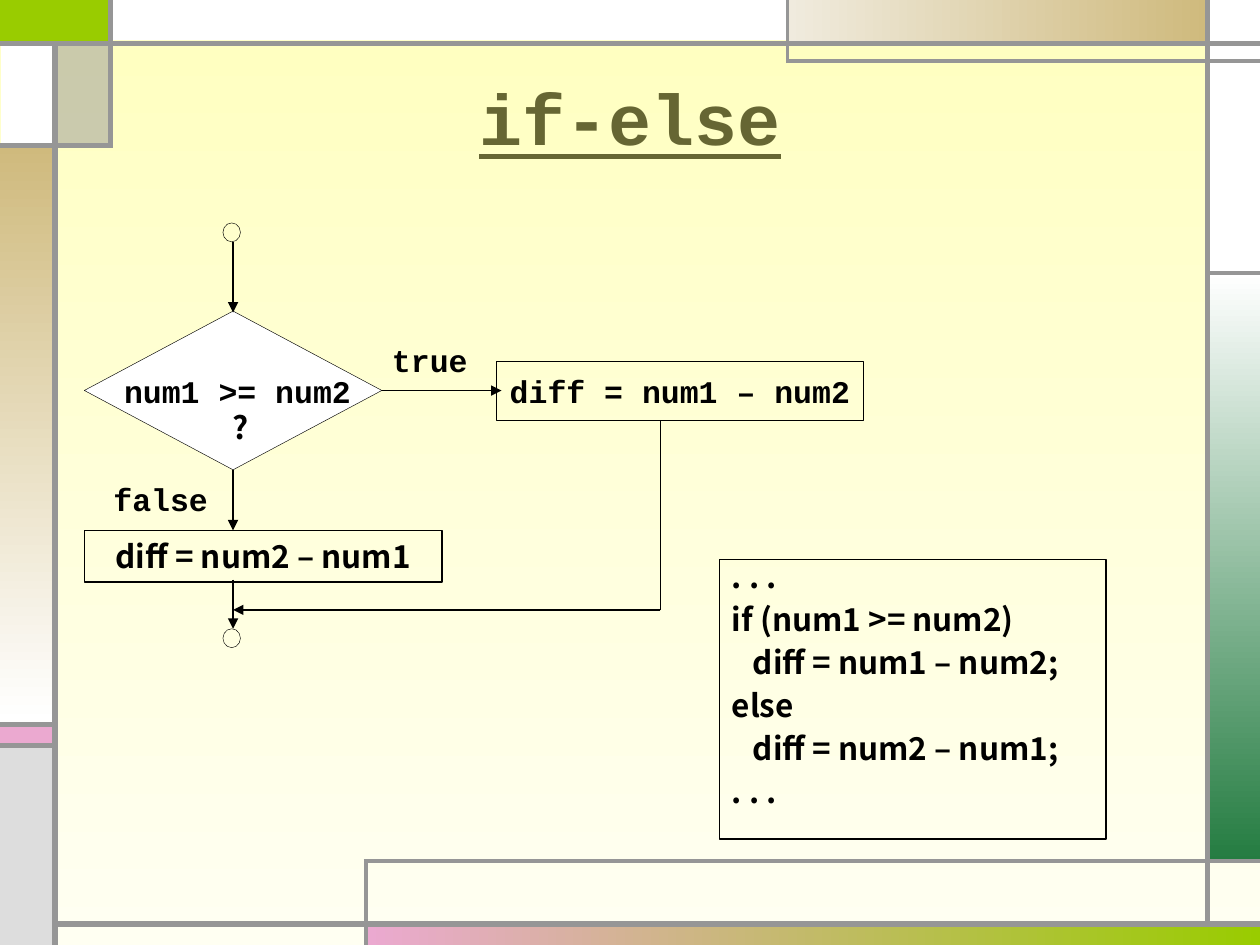
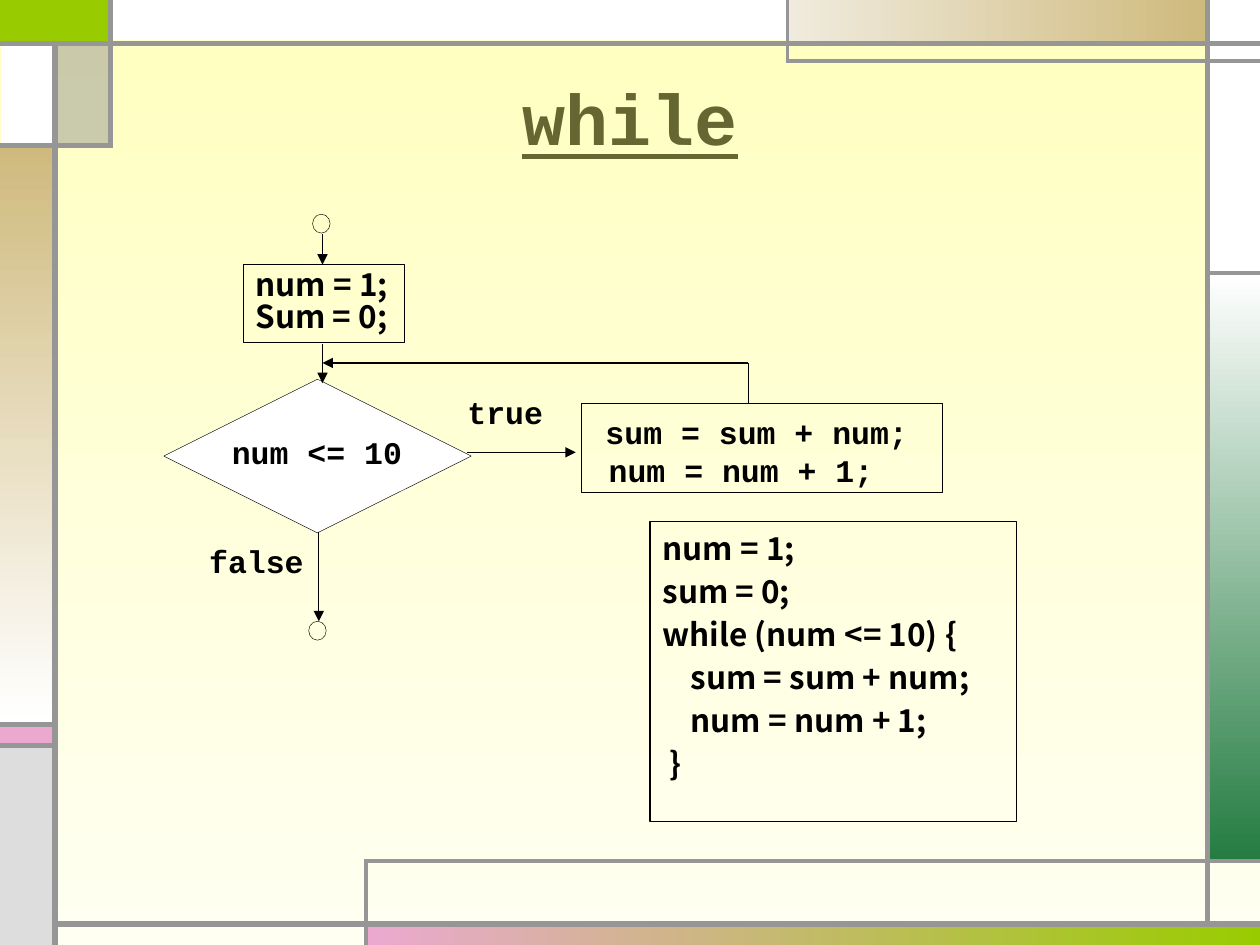
"""Two flowchart slides, if-else and while, in one shared decorative frame."""
from lxml.etree import SubElement
from pptx import Presentation
from pptx.dml.color import RGBColor
from pptx.enum.shapes import MSO_CONNECTOR, MSO_SHAPE
from pptx.enum.text import MSO_ANCHOR, PP_ALIGN
from pptx.oxml.ns import qn
from pptx.util import Pt

WHITE = RGBColor(0xFF, 0xFF, 0xFF)
BLACK = RGBColor(0, 0, 0)
GRAY = RGBColor(0x96, 0x96, 0x96)
SILVER = RGBColor(0xDD, 0xDD, 0xDD)
LIME = RGBColor(0x99, 0xCC, 0x00)
PINK = RGBColor(0xEB, 0xA9, 0xD0)
GREEN = RGBColor(0x24, 0x7C, 0x41)
SAND = RGBColor(0xCF, 0xBA, 0x7D)
PALE_SAND = RGBColor(0xF0, 0xEB, 0xDE)
OLIVE = RGBColor(0x66, 0x66, 0x33)
YELLOW = RGBColor(0xFF, 0xFF, 0xBF)
CREAM = RGBColor(0xFF, 0xFF, 0xF2)

MONO = "Courier New"
SANS = "Noto Sans CJK KR"
LEFT, CENTER = PP_ALIGN.LEFT, PP_ALIGN.CENTER
DOWN, ACROSS = 270, 0
TITLE_AREA = (36, 21.6, 648, 90)
RING = (10, 10.8)
LABEL = (65.5, 27)
HAIRLINE, THIN = 0.25, 0.75

FRAME_BLOCKS = [
    ((0, 0, 62.5, 24.5), LIME),
    ((210, 528, 510, 12), (PINK, LIME, ACROSS)),
    ((690, 156, 30, 336), (WHITE, GREEN, DOWN)),
    ((0, 414, 30, 12), PINK),
    ((0, 427, 30, 113), SILVER),
    ((690, 0, 30, 156), WHITE),
    ((450, 0, 240, 24), (PALE_SAND, SAND, ACROSS)),
    ((33, 24, 30, 59), GRAY),
    ((0, 83, 30, 330), (SAND, WHITE, DOWN)),
    ((0.5, 24, 30, 59), WHITE),
    ((62, 0, 388, 23), WHITE),
]
FRAME_LINES = {
    3: [(31.5, 540, 31.5, 24), (31.5, 528, 720, 528), (690, 528, 690, 0),
        (0, 25, 720, 25), (63, 0, 63, 84.5), (62, 83, 0, 83),
        (33, 414, 0, 414), (33, 426, 0, 426)],
    2.25: [(720, 34.8, 450, 34.8), (450, 36, 450, 0), (690, 156, 720, 156),
           (209, 540, 209, 491), (208, 492, 720, 492)],
}

FLOWCHARTS = [
    {
        "title": "if-else",
        "decision": (48.2, 177.8, 170, 90.7),
        "rings": [(127.4, 127.4), (127.4, 359.3)],
        "outline": (283.7, 206.6, 209.5, 33.8),
        "mono": [
            ((54, 212.4, 163.4, 20), [("num1 >= num2", CENTER, 0)]),
            ((278, 212.4, 221, 23), [("diff = num1 – num2", CENTER, 0)]),
        ],
        "labels": [("true", 224, 195), ("false", 64.8, 274.3)],
        "step": ((48.2, 303.1, 204.5, 29.5), [("diff = num2 – num1", CENTER, 0)]),
        "question": (126, 229.7, 24.5, 28.8),
        "arrows": [
            [(218.2, 223.2), (286.6, 223.2)],
            [(133.2, 138.2), (133.2, 178.6)],
            [(133.2, 268.6), (133.2, 303.1)],
            [(133.2, 331.2), (133.2, 359.3)],
            [(377.3, 240.5), (377.3, 348.5), (133.2, 348.5)],
        ],
        "code_area": (411.1, 319.7, 221, 159.8),
        "code_inset": 3.6,
        "code": [(". . .", 0), ("if (num1 >= num2)", 0), ("diff = num1 – num2;", 3),
                 ("else", 0), ("diff = num2 – num1;", 3), (". . .", 0)],
    },
    {
        "title": "while",
        "decision": (93.6, 216.7, 175.7, 87.8),
        "rings": [(178.6, 122.4), (176.4, 355)],
        "outline": (331.9, 230.4, 206.6, 51.1),
        "mono": [
            ((99.4, 247.7, 163.4, 20), [("num <= 10", CENTER, 0)]),
            ((326.2, 236.2, 212.4, 39.6),
             [("sum = sum + num;", CENTER, 0), ("num = num + 1;", LEFT, 21.6)]),
        ],
        "labels": [("true", 267.1, 224.6), ("false", 119.5, 309.6)],
        "step": ((139, 151.2, 92.2, 44.6),
                 [("num = 1;", LEFT, 0), ("Sum = 0;", LEFT, 0)]),
        "question": None,
        "arrows": [
            [(267.1, 258.5), (329, 258.5)],
            [(182.2, 303.8), (182.2, 355)],
            [(184.3, 196.6), (184.3, 218.9)],
            [(184.3, 133.9), (184.3, 151.2)],
            [(427.7, 230.4), (427.7, 207.4), (184.3, 207.4)],
        ],
        "code_area": (371.5, 298, 209.5, 171.4),
        "code_inset": 9.4,
        "code": [("num = 1;", 0), ("sum = 0;", 0), ("while (num <= 10) {", 0),
                 ("sum = sum + num;", 4), ("num = num + 1;", 4), ("}", 1)],
    },
]
CODE_SPACE = 4.03


def paint(fill, colour):
    if colour is None:
        fill.background()
    elif isinstance(colour, tuple) and not isinstance(colour, RGBColor):
        start, end, angle = colour
        fill.gradient()
        fill.gradient_angle = angle
        for stop, shade in zip(fill.gradient_stops, (start, end)):
            stop.color.rgb = shade
    else:
        fill.solid()
        fill.fore_color.rgb = colour


def add_block(slide, kind, area, fill=None, border=None):
    block = slide.shapes.add_shape(kind, *map(Pt, area))
    block.shadow.inherit = False
    paint(block.fill, fill)
    if border is None:
        block.line.fill.background()
    else:
        block.line.color.rgb = BLACK
        block.line.width = Pt(border)
    return block


def add_line(slide, ends, colour, width, arrow=False):
    line = slide.shapes.add_connector(MSO_CONNECTOR.STRAIGHT, *map(Pt, ends))
    line.line.color.rgb = colour
    line.line.width = Pt(width)
    if arrow:
        SubElement(line.line._get_or_add_ln(), qn("a:tailEnd"), type="triangle")
    SubElement(line._element.spPr, qn("a:effectLst"))


def write(holder, lines, font=MONO, size=18, colour=BLACK, underline=None,
          inset=(0, 0), wrap=True, anchor=MSO_ANCHOR.TOP, pitch=None, before=0):
    frame = holder.text_frame
    frame.word_wrap = wrap
    frame.vertical_anchor = anchor
    frame.margin_left = frame.margin_right = Pt(inset[0])
    frame.margin_top = frame.margin_bottom = Pt(inset[1])
    for index, (words, align, indent) in enumerate(lines):
        paragraph = frame.add_paragraph() if index else frame.paragraphs[0]
        paragraph.alignment = align
        paragraph.space_before = Pt(before)
        if pitch:
            paragraph.line_spacing = pitch
        if indent:
            paragraph._p.get_or_add_pPr().set("marL", str(int(Pt(indent))))
        run = paragraph.add_run()
        run.text = words
        run.font.name = font
        run.font.size = Pt(size)
        run.font.bold = True
        run.font.underline = underline
        run.font.color.rgb = colour


def add_text(slide, area, lines, **style):
    write(slide.shapes.add_textbox(*map(Pt, area)), lines, **style)


def draw_frame(slide, title):
    paint(slide.background.fill, (YELLOW, CREAM, DOWN))
    for area, fill in FRAME_BLOCKS:
        block = add_block(slide, MSO_SHAPE.RECTANGLE, area, fill)
        if fill == GRAY:
            tint = block._element.spPr.find(".//" + qn("a:srgbClr"))
            SubElement(tint, qn("a:alpha"), val="50000")
    for width, lines in FRAME_LINES.items():
        for ends in lines:
            add_line(slide, ends, GRAY, width)
    add_text(slide, TITLE_AREA, [(title, CENTER, 0)], size=41, colour=OLIVE,
             underline=True, inset=(7.2, 3.6), anchor=MSO_ANCHOR.MIDDLE)


def draw_flowchart(slide, chart):
    add_block(slide, MSO_SHAPE.DIAMOND, chart["decision"], WHITE, HAIRLINE)
    add_block(slide, MSO_SHAPE.RECTANGLE, chart["outline"], border=HAIRLINE)
    for corner in chart["rings"]:
        add_block(slide, MSO_SHAPE.OVAL, corner + RING, border=HAIRLINE)
    for area, lines in chart["mono"]:
        add_text(slide, area, lines)
    for words, left, top in chart["labels"]:
        add_text(slide, (left, top) + LABEL, [(words, LEFT, 0)])

    area, lines = chart["step"]
    step = add_block(slide, MSO_SHAPE.RECTANGLE, area, border=THIN)
    write(step, lines, font=SANS, inset=(7.2, 3.6), wrap=False,
          pitch=0.85 if len(lines) > 1 else None)
    if chart["question"]:
        add_text(slide, chart["question"], [("?", LEFT, 0)], font=SANS,
                 inset=(7.2, 3.6), wrap=False)

    for points in chart["arrows"]:
        for start, end in zip(points, points[1:]):
            add_line(slide, start + end, BLACK, THIN, arrow=end == points[-1])

    code = add_block(slide, MSO_SHAPE.RECTANGLE, chart["code_area"], border=THIN)
    write(code, [(words, LEFT, spaces * CODE_SPACE) for words, spaces in chart["code"]],
          font=SANS, inset=(7.2, chart["code_inset"]), pitch=0.75, before=8.4)


deck = Presentation()
deck.slide_width, deck.slide_height = Pt(720), Pt(540)
for flowchart in FLOWCHARTS:
    page = deck.slides.add_slide(deck.slide_layouts[6])
    draw_frame(page, flowchart["title"])
    draw_flowchart(page, flowchart)
deck.save("out.pptx")
